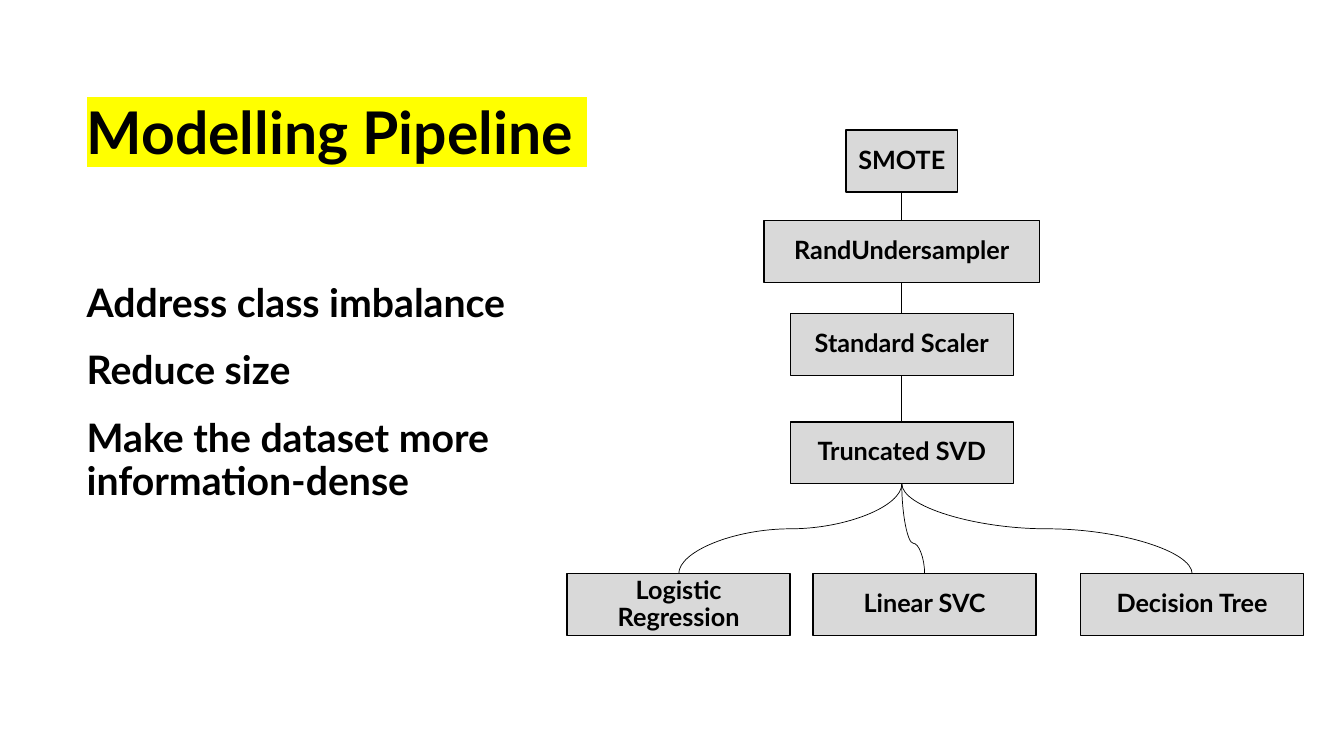
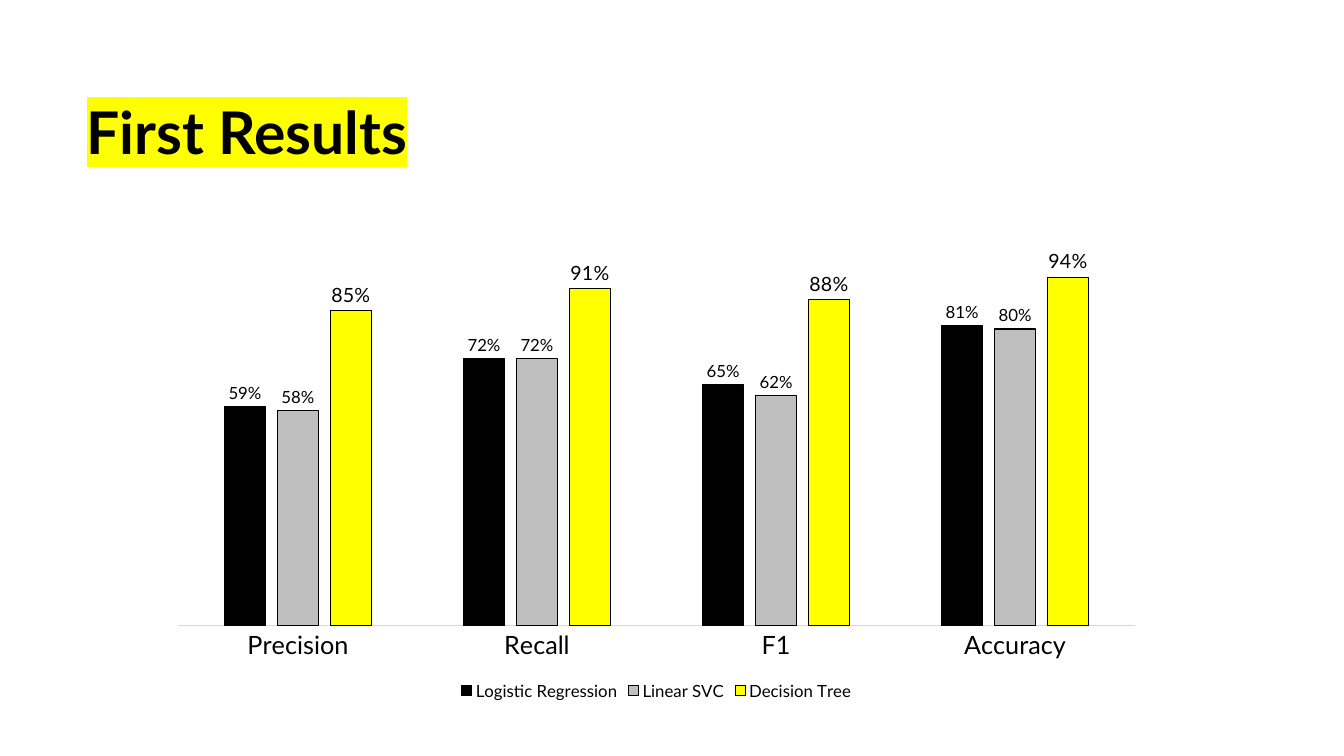
"""Build two slides: a modelling pipeline diagram and a chart of first results."""
from lxml import etree
from pptx import Presentation
from pptx.chart.data import CategoryChartData
from pptx.dml.color import RGBColor
from pptx.enum.chart import XL_CHART_TYPE, XL_LABEL_POSITION, XL_LEGEND_POSITION, XL_TICK_MARK
from pptx.enum.shapes import MSO_CONNECTOR, MSO_SHAPE
from pptx.enum.text import MSO_ANCHOR, MSO_AUTO_SIZE, PP_ALIGN
from pptx.oxml.ns import qn
from pptx.util import Inches, Pt

BLACK = RGBColor(0x00, 0x00, 0x00)
YELLOW = RGBColor(0xFF, 0xFF, 0x00)
BOX_GRAY = RGBColor(0xD9, 0xD9, 0xD9)
BAR_GRAY = RGBColor(0xBF, 0xBF, 0xBF)

COLUMN_CHART = XL_CHART_TYPE.COLUMN_CLUSTERED
OUTSIDE_END = XL_LABEL_POSITION.OUTSIDE_END
LEGEND_BOTTOM = XL_LEGEND_POSITION.BOTTOM
NO_TICK = XL_TICK_MARK.NONE
STRAIGHT, CURVE = MSO_CONNECTOR.STRAIGHT, MSO_CONNECTOR.CURVE
RECTANGLE = MSO_SHAPE.RECTANGLE
TOP, MIDDLE = MSO_ANCHOR.TOP, MSO_ANCHOR.MIDDLE
LEFT, CENTER = PP_ALIGN.LEFT, PP_ALIGN.CENTER
NO_AUTOFIT = MSO_AUTO_SIZE.NONE

FONT = "Lato"
TITLE_AND_BODY, TITLE_ONLY = 1, 5
TOP_SIDE, BOTTOM_SIDE = 0, 2
MARGIN = 5.7
BOX_WIDTH, BOX_HEIGHT = 16.6, 8.2
TRUNK_CENTER = 67.1
LEAF_TOP = 75.9


class Deck:
    """Hold the style and the current slide; lengths are percentages of the slide."""

    def __init__(self):
        self.presentation = Presentation()
        self.presentation.slide_width = Inches(13.33)
        self.presentation.slide_height = Inches(7.5)
        self.slide = None

    def frame(self, left, top, width, height):
        across = self.presentation.slide_width / 100
        down = self.presentation.slide_height / 100
        return [round(length) for length in
                (left * across, top * down, width * across, height * down)]

    def place(self, shape, *shares):
        shape.left, shape.top, shape.width, shape.height = self.frame(*shares)

    def style_font(self, font, size, bold=False):
        font.name, font.size, font.bold = FONT, Pt(size), bold
        font.color.rgb = BLACK

    def style_paragraph(self, paragraph, size, alignment=LEFT):
        paragraph.alignment = alignment
        paragraph.line_spacing = 0.9
        paragraph.space_before = Pt(0)
        self.style_font(paragraph.font, size, bold=True)

    def style_frame(self, text_frame, anchor):
        text_frame.auto_size = NO_AUTOFIT
        text_frame.word_wrap = True
        text_frame.vertical_anchor = anchor

    def new_slide(self, layout, title):
        self.slide = self.presentation.slides.add_slide(
            self.presentation.slide_layouts[layout])
        shape = self.slide.shapes.title
        self.place(shape, MARGIN, 10.5, 53.6, 14.9)
        self.style_frame(shape.text_frame, MIDDLE)
        paragraph = shape.text_frame.paragraphs[0]
        run = paragraph.add_run()
        run.text = title
        self.style_paragraph(paragraph, 42)
        properties = run._r.get_or_add_rPr()
        highlight = etree.SubElement(properties, qn("a:highlight"))
        etree.SubElement(highlight, qn("a:srgbClr"), val=str(YELLOW))

    def body(self, items, *shares):
        shape = self.slide.placeholders[1]
        self.place(shape, *shares)
        text_frame = shape.text_frame
        self.style_frame(text_frame, TOP)
        for index, (text, space_before) in enumerate(items):
            paragraph = text_frame.add_paragraph() if index else text_frame.paragraphs[0]
            paragraph.text = text
            properties = paragraph._p.get_or_add_pPr()
            properties.set("marL", "0")
            properties.set("indent", "0")
            etree.SubElement(properties, qn("a:buNone"))
            self.style_paragraph(paragraph, 28)
            paragraph.space_before = Pt(space_before)

    def box(self, text, center, top, width=BOX_WIDTH):
        shape = self.slide.shapes.add_shape(
            RECTANGLE, *self.frame(center - width / 2, top, width, BOX_HEIGHT))
        shape.shadow.inherit = False
        shape.fill.solid()
        shape.fill.fore_color.rgb = BOX_GRAY
        shape.line.color.rgb = BLACK
        shape.line.width = Pt(1)
        text_frame = shape.text_frame
        self.style_frame(text_frame, MIDDLE)
        text_frame.margin_left = text_frame.margin_right = Inches(0.08)
        text_frame.margin_top = text_frame.margin_bottom = Inches(0.08)
        text_frame.text = text
        self.style_paragraph(text_frame.paragraphs[0], 18, CENTER)
        return shape

    def link(self, upper, lower, kind=STRAIGHT):
        connector = self.slide.shapes.add_connector(kind, 0, 0, 0, 0)
        connector.begin_connect(upper, BOTTOM_SIDE)
        connector.end_connect(lower, TOP_SIDE)
        connector.line.color.rgb = BLACK
        connector.line.width = Pt(0.5)
        etree.SubElement(connector._element.spPr, qn("a:effectLst"))
        return connector

    def curve(self, upper, lower, bend=0.5):
        connector = self.link(upper, lower, CURVE)
        start_x, start_y = upper.left + upper.width // 2, upper.top + upper.height
        end_x, end_y = lower.left + lower.width // 2, lower.top
        rise, run = end_y - start_y, abs(end_x - start_x)
        connector.left = (start_x + end_x - rise) // 2
        connector.top = (start_y + end_y - run) // 2
        connector.width, connector.height = rise, run
        rightward = end_x > start_x
        properties = connector._element.spPr
        transform = properties.find(qn("a:xfrm"))
        transform.set("rot", str((270 if rightward else 90) * 60000))
        transform.set("flipH", "1" if rightward else "0")
        transform.set("flipV", "0")
        adjustments = properties.find(qn("a:prstGeom")).find(qn("a:avLst"))
        etree.SubElement(adjustments, qn("a:gd"), name="adj1",
                         fmla=f"val {round(bend * 100000)}")

    def column_chart(self, categories, series_rows, *shares):
        data = CategoryChartData(number_format="0%")
        data.categories = categories
        for name, values, *_ in series_rows:
            data.add_series(name, values)
        chart = self.slide.shapes.add_chart(
            COLUMN_CHART, *self.frame(*shares), data).chart
        self.style_font(chart.font, 10)
        chart.has_title = False
        chart.has_legend = True
        chart.legend.position = LEGEND_BOTTOM
        chart.legend.include_in_layout = False
        self.style_font(chart.legend.font, 12)

        category_axis, value_axis = chart.category_axis, chart.value_axis
        category_axis.major_tick_mark = NO_TICK
        category_axis.format.line.color.rgb = BOX_GRAY
        category_axis.format.line.width = Pt(0.75)
        self.style_font(category_axis.tick_labels.font, 18)
        value_axis.minimum_scale, value_axis.maximum_scale = 0, 1
        value_axis.has_major_gridlines = False
        value_axis.visible = False

        plot = chart.plots[0]
        plot.vary_by_categories = False
        plot.gap_width, plot.overlap = 219, -27
        for series, (_, _, color, label_size) in zip(plot.series, series_rows):
            series.format.fill.solid()
            series.format.fill.fore_color.rgb = color
            series.format.line.color.rgb = BLACK
            series.format.line.width = Pt(0.75)
            labels = series.data_labels
            labels.show_value = True
            labels.position = OUTSIDE_END
            labels.number_format = "0%"
            labels.number_format_is_linked = False
            self.style_font(labels.font, label_size)


def pipeline_slide(deck):
    deck.new_slide(TITLE_AND_BODY, "Modelling Pipeline ")
    deck.body([("Address class imbalance", 0), ("Reduce size", 17),
               ("Make the dataset more information-dense", 19)],
              MARGIN, 36.9, 39.7, 32)
    steps = [deck.box(text, TRUNK_CENTER, top, width) for text, top, width in (
        ("SMOTE", 17.2, 8.3),
        ("RandUndersampler", 29.2, 20.5),
        ("Standard Scaler", 41.5, BOX_WIDTH),
        ("Truncated SVD", 55.8, BOX_WIDTH))]
    for upper, lower in zip(steps, steps[1:]):
        deck.link(upper, lower)
    for text, center, bend in (("Logistic Regression", 50.5, 0.5),
                               ("Linear SVC", 68.8, 0.66),
                               ("Decision Tree", 88.7, 0.5)):
        deck.curve(steps[-1], deck.box(text, center, LEAF_TOP), bend)


def results_slide(deck):
    deck.new_slide(TITLE_ONLY, "First Results")
    deck.column_chart(
        ["Precision", "Recall", "F1", "Accuracy"],
        [("Logistic Regression", (0.59, 0.72, 0.65, 0.81), BLACK, 12),
         ("Linear SVC", (0.58, 0.72, 0.62, 0.8), BAR_GRAY, 12),
         ("Decision Tree", (0.85, 0.91, 0.88, 0.94), YELLOW, 14)],
        11.8, 32.5, 74.1, 60.7)


def main():
    deck = Deck()
    pipeline_slide(deck)
    results_slide(deck)
    deck.presentation.save("out.pptx")


if __name__ == "__main__":
    main()
